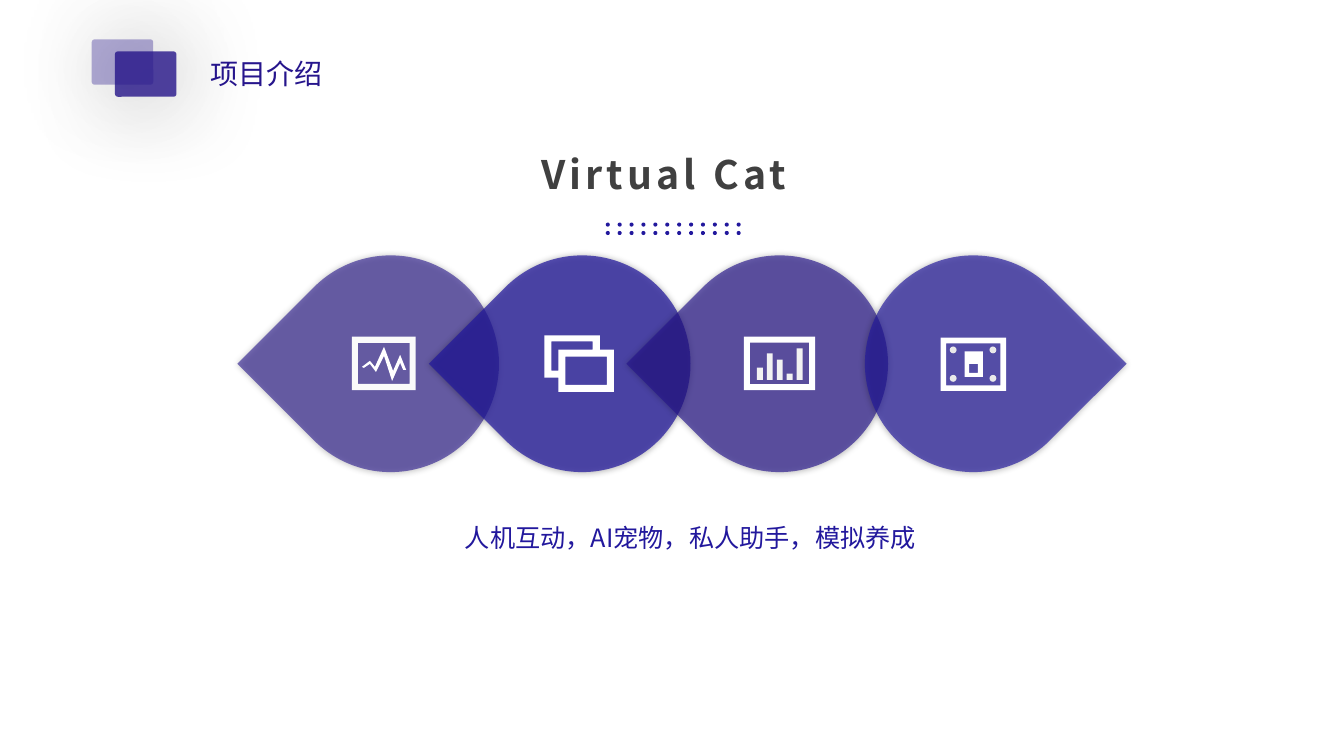
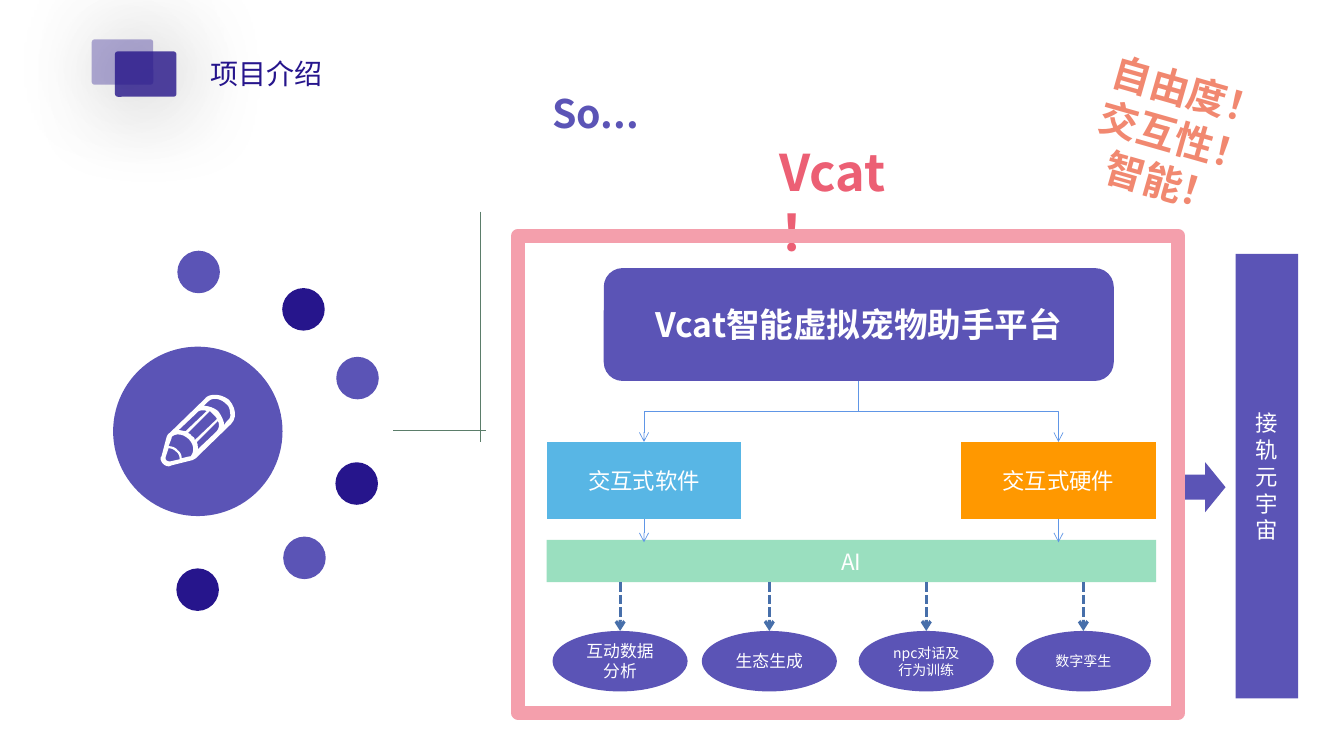
from dataclasses import dataclass

from lxml import etree
from pptx import Presentation
from pptx.dml.color import RGBColor
from pptx.enum.dml import MSO_LINE
from pptx.enum.shapes import MSO_CONNECTOR, MSO_SHAPE
from pptx.enum.text import MSO_ANCHOR, MSO_AUTO_SIZE, PP_ALIGN
from pptx.oxml.ns import qn
from pptx.util import Pt

RECT, ROUND, OVAL = MSO_SHAPE.RECTANGLE, MSO_SHAPE.ROUNDED_RECTANGLE, MSO_SHAPE.OVAL
DROP, ARROW, STEP = MSO_SHAPE.TEAR, MSO_SHAPE.RIGHT_ARROW, MSO_SHAPE.FLOWCHART_PROCESS
STRAIGHT, ELBOW = MSO_CONNECTOR.STRAIGHT, MSO_CONNECTOR.ELBOW
LEFT, CENTER, JUSTIFY = PP_ALIGN.LEFT, PP_ALIGN.CENTER, PP_ALIGN.JUSTIFY
TOP, MIDDLE = MSO_ANCHOR.TOP, MSO_ANCHOR.MIDDLE
FIT = MSO_AUTO_SIZE.SHAPE_TO_FIT_TEXT
DASH = MSO_LINE.SQUARE_DOT


@dataclass(frozen=True)
class Theme:
    font: str = "Noto Sans CJK SC"
    navy: str = "26158C"
    blue: str = "22189D"
    violet: str = "5B54B6"
    grey: str = "404040"
    white: str = "FFFFFF"
    snow: str = "FAFAFA"
    mist: str = "F2F2F2"
    cloud: str = "E9E9E9"
    moss: str = "5B7D6A"
    sky: str = "58B6E5"
    orange: str = "FF9800"
    mint: str = "9ADFBF"
    rose: str = "EC5F74"
    pink: str = "F49FAC"
    coral: str = "F18870"
    link: str = "6096E6"
    steel: str = "476FAA"
    huge: int = 36
    big: int = 28
    head: int = 24
    title: int = 20
    lead: int = 18
    body: int = 16
    small: int = 12
    tiny: int = 10


T = Theme()

# Pencil outline on an icon grid: pairs are corners, sixes are Bézier curves.
PENCIL = [
    [(68, 5), (64, 2, 59, 0, 54, 0), (50, 0, 46, 1, 44, 4), (9, 38),
     (7, 39, 7, 40, 6, 42), (1, 61), (1, 61, 0, 62, 0, 63), (0, 67, 4, 71, 8, 71),
     (9, 71, 11, 70, 11, 70), (31, 65), (32, 65, 33, 64, 35, 63), (70, 29),
     (76, 23, 75, 13, 68, 5)],
    [(66, 26), (63, 30), (63, 29, 63, 29, 63, 28), (62, 24, 60, 20, 57, 16),
     (53, 13, 48, 11, 43, 11), (47, 7), (49, 5, 51, 4, 54, 4), (58, 4, 62, 6, 65, 9),
     (68, 11, 69, 15, 69, 18), (70, 21, 69, 24, 66, 26)],
    [(21, 63), (21, 60, 20, 57, 17, 55), (15, 52, 11, 51, 8, 51), (11, 43),
     (11, 42, 11, 42, 12, 41), (16, 38, 23, 39, 28, 44), (33, 49, 34, 56, 30, 61),
     (29, 61)],
    [(10, 66), (8, 66), (7, 66, 5, 65, 5, 63), (5, 62), (8, 53),
     (10, 53, 13, 54, 15, 56), (18, 58, 19, 61, 19, 64)],
    [(25, 36), (22, 36, 20, 35, 18, 35), (36, 18), (38, 15, 42, 15, 46, 16)],
    [(34, 45), (34, 43, 33, 42, 31, 41), (30, 39, 28, 38, 27, 38), (49, 16),
     (50, 17, 51, 18, 53, 20), (54, 21, 55, 22, 56, 24)],
    [(37, 53), (37, 51, 37, 49, 36, 47), (57, 26), (59, 30, 58, 34, 55, 37), (37, 54)],
]
PULSE = [(2, 21), (8, 17), (14, 25), (22, 9), (30, 34), (38, 16), (41, 23), (44, 23),
         (38, 8), (31, 24), (22, 0), (13, 20), (8, 14), (0, 20)]
PANES = [
    [(55, 14), (55, 0), (0, 0), (0, 42), (14, 42), (14, 56), (69, 56), (69, 14)],
    [(7, 35), (7, 6), (48, 6), (48, 14), (14, 14), (14, 35)],
    [(21, 21), (62, 21), (62, 49), (21, 49)],
]
CELL = 0.72


def rgb(code):
    return RGBColor.from_string(code)


def sub(node, tag, **attrs):
    return etree.SubElement(node, qn(tag), {k: str(v) for k, v in attrs.items()})


def paint(shape, fill, alpha=100):
    shape.shadow.inherit = False
    shape.line.fill.background()
    if not fill:
        shape.fill.background()
        return
    shape.fill.solid()
    shape.fill.fore_color.rgb = rgb(fill)
    if alpha < 100:
        color = shape.element.spPr.find(qn("a:solidFill"))[0]
        sub(color, "a:alpha", val=alpha * 1000)


def shade(shape, blur, dist=0, turn=0):
    effects = shape.element.spPr.find(qn("a:effectLst"))
    drop = sub(effects, "a:outerShdw", blurRad=Pt(blur), dist=Pt(dist),
               dir=turn * 60000, rotWithShape=0)
    sub(sub(drop, "a:srgbClr", val="000000"), "a:alpha", val=40000)


def block(shapes, kind, x, y, w, h, fill=None, alpha=100):
    shape = shapes.add_shape(kind, Pt(x), Pt(y), Pt(w), Pt(h))
    paint(shape, fill, alpha)
    return shape


def write(shape, text, size=T.body, color=T.white, bold=False, align=CENTER,
          anchor=MIDDLE, wrap=True, grow=False, space=0, edge=None):
    """Fill a shape with text; each line becomes a paragraph."""
    frame = shape.text_frame
    frame.word_wrap, frame.vertical_anchor = wrap, anchor
    if grow:
        frame.auto_size = FIT
    for i, line in enumerate(text.split("\n")):
        para = frame.add_paragraph() if i else frame.paragraphs[0]
        para.alignment = align
        run = para.add_run()
        run.text = line
        font = run.font
        font.size, font.bold, font.name = Pt(size), bold, T.font
        font.color.rgb = rgb(color)
        props = run.font._element
        sub(props, "a:ea", typeface=T.font)
        if space:
            props.set("spc", str(space * 100))
        if edge:
            rim = etree.Element(qn("a:ln"), w=str(Pt(0.75)))
            sub(sub(rim, "a:solidFill"), "a:srgbClr", val=edge)
            props.insert(0, rim)


def note(shapes, text, x, y, w, h, **form):
    box = shapes.add_textbox(Pt(x), Pt(y), Pt(w), Pt(h))
    write(box, text, **{"anchor": TOP, **form})
    return box


def bend(loop, steps=6):
    """Turn the curves of a loop into short straight steps."""
    out = []
    for item in loop:
        if len(item) == 2:
            out.append(item)
            continue
        pts = [out[-1], item[:2], item[2:4], item[4:]]
        for i in range(1, steps + 1):
            t = i / steps
            mix = [(1 - t) ** 3, 3 * t * (1 - t) ** 2, 3 * t * t * (1 - t), t ** 3]
            out.append(tuple(sum(m * p[a] for m, p in zip(mix, pts)) for a in (0, 1)))
    return out


def free(shapes, loops, fill, x=0, y=0, unit=1):
    """Draw closed loops as one outline; inner loops become holes."""
    pen = None
    for loop in loops:
        pts = [(Pt(x + a * unit), Pt(y + b * unit)) for a, b in bend(loop)]
        if pen:
            pen.move_to(*pts[0])
        else:
            pen = shapes.build_freeform(*pts[0])
        pen.add_line_segments(pts[1:], close=True)
    paint(pen.convert_to_shape(), fill)


def box(x, y, w, h):
    return [(x, y), (x, y + h), (x + w, y + h), (x + w, y)]


def ring(shapes, x, y, w, h, rim, fill):
    free(shapes, [box(x, y, w, h), box(x + rim, y + rim, w - 2 * rim, h - 2 * rim)], fill)


def wire(shapes, x1, y1, x2, y2, color, width=0.5, kind=STRAIGHT, dash=None,
         tip=True, start=None, end=None):
    line = shapes.add_connector(kind, Pt(x1), Pt(y1), Pt(x2), Pt(y2))
    if start:
        line.begin_connect(start, 2)
    if end:
        line.end_connect(end, 0)
    line.line.color.rgb = rgb(color)
    line.line.width = Pt(width)
    if dash:
        line.line.dash_style = dash
    props = line.element.spPr
    if tip:
        sub(props.find(qn("a:ln")), "a:tailEnd", type="arrow")
    sub(props, "a:effectLst")
    return line


def fork(shapes, start, end):
    """Elbow that leaves downwards, as a quarter turn of the plain one."""
    x1, y1 = (start.left + start.width / 2) / Pt(1), (start.top + start.height) / Pt(1)
    x2, y2 = (end.left + end.width / 2) / Pt(1), end.top / Pt(1)
    line = wire(shapes, x1, y1, x2, y2, T.link, kind=ELBOW, start=start, end=end)
    wide, tall = abs(x2 - x1), y2 - y1
    line.left, line.top = Pt((x1 + x2 - tall) / 2), Pt((y1 + y2 - wide) / 2)
    line.width, line.height = Pt(tall), Pt(wide)
    frame = line.element.spPr.find(qn("a:xfrm"))
    frame.attrib.pop("flipH", None)
    frame.set("rot", "5400000")
    if x2 > x1:
        frame.set("flipV", "1")


def badge(shapes, x, y, alpha):
    card = block(shapes, ROUND, x, y, 44, 32.4, T.navy, alpha)
    card.adjustments[0] = 0.066
    shade(card, 70, 3, 45)


def page(deck):
    """Add a slide with the shared header and return its shapes."""
    shapes = deck.slides.add_slide(deck.slide_layouts[6]).shapes
    badge(shapes, 82.1, 36.7, 80)
    note(shapes, "项目介绍", 143.3, 36.7, 226.8, 31.7, size=T.title, color=T.navy,
         align=JUSTIFY, grow=True)
    badge(shapes, 65.5, 28.1, 35)
    return shapes


def pulse(shapes):
    free(shapes, [PULSE], T.white, 258.5, 247.7, CELL)
    ring(shapes, 251.3, 240.5, 45.7, 38.2, 4.4, T.snow)


def panes(shapes):
    free(shapes, PANES, T.white, 388.8, 239.6, CELL)


def chart(shapes):
    for i, tall in enumerate((8.8, 19, 14.4, 4.5, 22.5)):
        block(shapes, RECT, 540.7 + 7.1 * i, 271.4 - tall, 4.2, tall, T.mist)
    ring(shapes, 531.4, 240.5, 50.8, 38.2, 4.3, T.white)


def plate(shapes):
    ring(shapes, 671.8, 241.2, 46.8, 38, 4, T.white)
    for y in (247.5, 267.8):
        for x in (678.4, 706.8):
            block(shapes, OVAL, x, y, 4.9, 4.9, T.cloud)
    free(shapes, [box(689, 251, 13, 18.2), box(692.3, 259.9, 6.3, 6.5)], T.white)


def intro(deck):
    shapes = page(deck)
    name = note(shapes, "Virtual Cat", 386.6, 107.3, 195.8, 33.8, size=T.big,
                color=T.grey, bold=True, align=JUSTIFY, anchor=MIDDLE, grow=True, space=3)
    frame = name.text_frame
    frame.margin_left = frame.margin_right = frame.margin_top = frame.margin_bottom = 0
    dots = shapes.add_group_shape().shapes
    for y in (165, 159):
        for i in range(12):
            block(dots, OVAL, 432.7 + 8.5 * i, y, 2.9, 2.9, T.blue)
    for x, turn, color, alpha, icon in (
            (201.6, 225, T.navy, 60, pulse), (338.4, 225, T.blue, 73, panes),
            (479.5, 225, T.navy, 66, chart), (617.8, 45, T.blue, 67, plate)):
        group = shapes.add_group_shape().shapes
        drop = block(group, DROP, x, 182.4, 154.8, 154.8, color, alpha)
        drop.rotation = turn
        shade(drop, 5)
        icon(group)
    note(shapes, "人机互动，AI宠物，私人助手，模拟养成", 224.6, 369.4, 537.1, 33.1,
         size=T.lead, color=T.blue)


def plan(deck):
    shapes = page(deck)
    block(shapes, OVAL, 80.8, 247.6, 121, 121, T.violet)
    for i, (x, y) in enumerate(((126.7, 179.1), (201.6, 205.8), (240.2, 254.9),
                                (239.6, 330.2), (202.3, 383.3), (126, 406))):
        block(shapes, OVAL, x, y, 30.4, 30.4, T.navy if i % 2 else T.violet)
    wire(shapes, 280.8, 307.4, 347, 307.4, T.moss, tip=False)
    wire(shapes, 343.4, 151.2, 343.4, 315.4, T.moss, tip=False)
    note(shapes, "So...", 387.4, 60.5, 172.8, 41, size=T.big, color=T.violet,
         bold=True, align=LEFT, grow=True)
    free(shapes, PENCIL, T.white, 114.7, 282, CELL)
    note(shapes, "Vcat！", 549.4, 97.2, 111.6, 51.1, size=T.huge, color=T.rose,
         bold=True, align=LEFT, grow=True)

    core = block(shapes, ROUND, 431.3, 191.5, 364.3, 80.6, T.violet)
    write(core, "Vcat智能虚拟宠物助手平台", size=T.head, bold=True)
    steps = []
    for x, fill, text in ((390.5, T.sky, "交互式软件"), (686.6, T.orange, "交互式硬件")):
        step = block(shapes, STEP, x, 315.7, 139, 55, fill)
        write(step, text)
        fork(shapes, core, step)
        steps.append(step)
    write(block(shapes, RECT, 390.5, 385.7, 435.4, 30.2, T.mint), "AI")
    for step in steps:
        mid = (step.left + step.width / 2) / Pt(1)
        wire(shapes, mid, 370.7, mid, 387.4, T.link, start=step)
    note(shapes, "自由度！\n交互性！\n智能！", 763.2, 43.2, 150.5, 120.2, size=T.big,
         color=T.coral, bold=True, wrap=False, edge=T.white).rotation = 16

    tasks = []
    for x, text, size in ((394.7, "互动数据分析", T.small), (501.3, "生态生成", T.small),
                          (613.4, "npc对话及行为训练", T.tiny), (725.6, "数字孪生", T.tiny)):
        task = block(shapes, OVAL, x, 450.7, 96.5, 43.2, T.violet)
        write(task, text, size=size)
        tasks.append(task)
    block(shapes, ARROW, 846.4, 330.2, 29, 35.6, T.violet)
    write(block(shapes, RECT, 882.6, 181.4, 44.6, 317.5, T.violet), "接轨元宇宙")
    frame = block(shapes, RECT, 370.1, 168.5, 471.6, 340.6)
    frame.line.color.rgb = rgb(T.pink)
    frame.line.width = Pt(10)
    for task in tasks:
        mid = (task.left + task.width / 2) / Pt(1)
        wire(shapes, mid, 415.9, mid, 450.7, T.steel, width=2.25, dash=DASH, end=task)


def main():
    deck = Presentation()
    deck.slide_width, deck.slide_height = Pt(960), Pt(540)
    intro(deck)
    plan(deck)
    deck.save("out.pptx")


if __name__ == "__main__":
    main()
